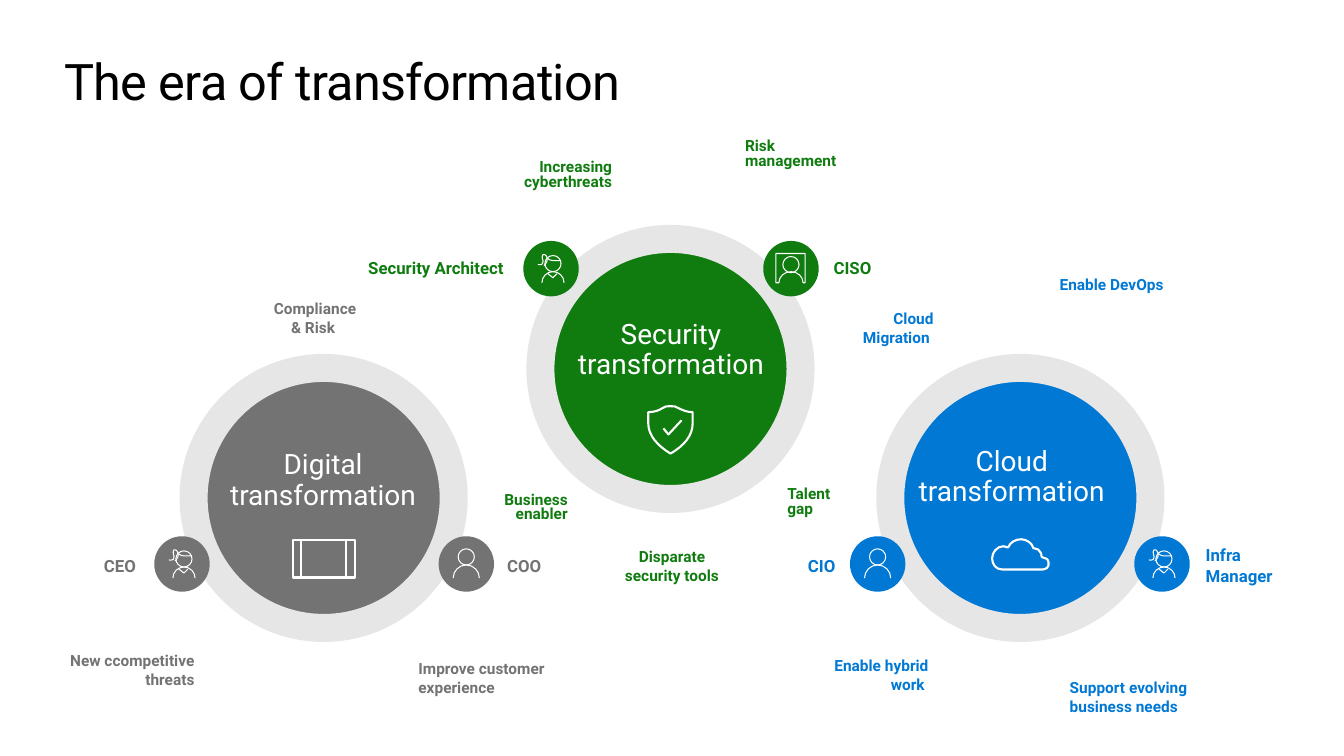
from lxml import etree
from pptx import Presentation
from pptx import util as u
from pptx.dml.color import RGBColor
from pptx.enum import shapes, text
from pptx.oxml import ns

COLORS = {"digital": "737373", "security": "107C10", "cloud": "0078D4",
          "ring": "E6E6E6", "white": "FFFFFF", "black": "000000"}
FONT = "Roboto"
SLIDE = (13.33, 7.5)
TITLE = "The era of transformation"
HUB_SIZE, BADGE_SIZE, CAPTION_WIDTH = 2.58, 0.55, 2.43
LEFT, CENTER, RIGHT = text.PP_ALIGN.LEFT, text.PP_ALIGN.CENTER, text.PP_ALIGN.RIGHT

HUBS = {
    "digital": {"corner": (1.92, 3.65), "badge_top": 5.32,
                "badges": ((1.53, "woman", False), (4.35, "person", True)),
                "caption": ["Digital transformation"],
                "caption_at": (1.99, 4.47, CAPTION_WIDTH, 0.61), "symbols": ["screen"]},
    "security": {"corner": (5.36, 2.37), "badge_top": 2.39,
                 "badges": ((5.19, "woman", True), (7.57, "portrait", False)),
                 "caption": ["Security", "transformation"],
                 "caption_at": (5.44, 3.18, CAPTION_WIDTH, 0.91),
                 "symbols": ["shield", "check"]},
    "cloud": {"corner": (8.83, 3.65), "badge_top": 5.32,
              "badges": ((8.43, "person", True), (11.25, "woman", True)),
              "caption": ["Cloud", "transformation"],
              "caption_at": (8.82, 4.44, CAPTION_WIDTH, 0.94), "symbols": ["cloud"]},
}

ROLES = [
    ("digital", "CEO", (0.93, 5.46, 0.52, 0.3), CENTER, False),
    ("digital", "COO", (4.92, 5.46, 0.56, 0.3), CENTER, False),
    ("security", "Security Architect ", (3.52, 2.51, 1.65, 0.3), CENTER, False),
    ("security", "CISO", (8.1, 2.51, 0.71, 0.3), CENTER, True),
    ("cloud", "CIO", (7.91, 5.46, 0.48, 0.3), CENTER, True),
    ("cloud", "Infra Manager", (11.86, 5.36, 1.12, 0.5), LEFT, True),
]

NOTES = [
    ("digital", "Compliance & Risk ", (2.49, 2.92, 1.27, 0.47), CENTER, None),
    ("digital", "New ccompetitive threats", (0.35, 6.41, 1.78, 0.47), RIGHT, None),
    ("digital", "Improve customer experience", (3.95, 6.49, 1.78, 0.47), LEFT, None),
    ("security", "Increasing cyberthreats", (4.43, 1.54, 1.74, 0.4), RIGHT, 0.8),
    ("security", "Risk management", (7.19, 1.33, 1.36, 0.4), LEFT, 0.8),
    ("security", "Business enabler", (4.38, 4.84, 1.35, 0.4), RIGHT, 0.8),
    ("security", "Talent gap", (7.61, 4.79, 0.83, 0.4), LEFT, 0.8),
    ("security", "Disparate security tools", (5.9, 5.38, 1.43, 0.47), CENTER, None),
    ("cloud", "Cloud Migration ", (8.22, 3.02, 1.24, 0.47), RIGHT, None),
    ("cloud", "Enable DevOps", (10.31, 2.68, 1.57, 0.29), LEFT, None),
    ("cloud", "Enable hybrid work ", (7.74, 6.46, 1.67, 0.47), RIGHT, None),
    ("cloud", "Support evolving business needs", (10.41, 6.68, 1.85, 0.47), LEFT, None),
]


def arch(x, y, rx, ry):
    k = 0.55
    return [((x - rx, y),),
            ((x - rx, y - k * ry), (x - k * rx, y - ry), (x, y - ry)),
            ((x + k * rx, y - ry), (x + rx, y - k * ry), (x + rx, y))]


def circle(x, y, r):
    return arch(x, y, r, r) + arch(x, y, -r, -r)[1:]


def line(*points):
    return [(point,) for point in points]


SYMBOLS = {
    "person": [circle(0, -0.07, 0.08), arch(0, 0.14, 0.13, 0.13)],
    "portrait": [circle(0, -0.04, 0.08),
                 line((0.12, 0.14), (0.14, 0.14), (0.14, -0.15), (-0.15, -0.15),
                      (-0.15, 0.14)) + arch(0, 0.14, 0.12, 0.11)],
    "woman": [
        circle(0.02, -0.05, 0.08),
        arch(0.02, 0.14, 0.11, 0.11),
        line((-0.03, 0.05), (0.02, 0.09), (0.06, 0.05)),
        [((-0.04, -0.11),), ((-0.04, -0.11), (-0.02, -0.08), (0.02, -0.08)),
         ((0.05, -0.08), (0.1, -0.08), (0.1, -0.08))],
        [((-0.07, -0.03),), ((-0.07, -0.03), (-0.05, -0.04), (-0.04, -0.07)),
         ((-0.03, -0.1), (-0.04, -0.11), (-0.04, -0.11))],
        [((-0.04, -0.11),), ((-0.04, -0.11), (-0.05, -0.15), (-0.08, -0.14)),
         ((-0.1, -0.11), (-0.07, -0.08), (-0.08, -0.06)),
         ((-0.08, -0.03), (-0.13, -0.04), (-0.13, -0.04))],
    ],
    "screen": [line((0.31, 0.79), (-0.3, 0.79), (-0.3, 0.42), (0.31, 0.42), (0.31, 0.79)),
               line((-0.22, 0.42), (-0.22, 0.79)), line((0.22, 0.42), (0.22, 0.79))],
    "shield": [[
        ((0.22, 0.54),), ((0.22, 0.66), (0.14, 0.76), (0, 0.84)),
        ((-0.13, 0.76), (-0.22, 0.66), (-0.22, 0.54)), ((-0.22, 0.43),),
        ((-0.16, 0.43), (-0.11, 0.41), (-0.08, 0.39)),
        ((-0.06, 0.37), (-0.03, 0.37), (0, 0.37)),
        ((0.03, 0.37), (0.06, 0.37), (0.08, 0.39)),
        ((0.12, 0.41), (0.17, 0.43), (0.22, 0.43)), ((0.22, 0.54),)]],
    "check": [line((0.11, 0.51), (-0.02, 0.65), (-0.07, 0.59))],
    "cloud": [[
        ((0.01, 0.41),), ((-0.05, 0.41), (-0.1, 0.44), (-0.12, 0.49)), ((-0.13, 0.49),),
        ((-0.14, 0.49), (-0.15, 0.48), (-0.17, 0.48)),
        ((-0.23, 0.48), (-0.28, 0.54), (-0.28, 0.6)),
        ((-0.28, 0.66), (-0.24, 0.71), (-0.18, 0.71)), ((0.22, 0.71),),
        ((0.25, 0.71), (0.29, 0.69), (0.28, 0.64)),
        ((0.28, 0.61), (0.25, 0.59), (0.22, 0.59)), ((0.21, 0.58),),
        ((0.21, 0.57), (0.21, 0.55), (0.2, 0.54)),
        ((0.19, 0.52), (0.17, 0.5), (0.14, 0.5)), ((0.13, 0.5),),
        ((0.12, 0.45), (0.06, 0.41), (0.01, 0.41))]],
}

presentation = Presentation()
presentation.slide_width, presentation.slide_height = map(u.Inches, SLIDE)
slide = presentation.slides.add_slide(presentation.slide_layouts[5])


def color(name):
    return RGBColor.from_string(COLORS[name])


def add_disc(parent, corner, size, fill, ring=None):
    disc = parent.shapes.add_shape(shapes.MSO_SHAPE.OVAL,
                                   *map(u.Inches, (*corner, size, size)))
    disc.shadow.inherit = False
    disc.fill.solid()
    disc.fill.fore_color.rgb = color(fill)
    if ring:
        disc.line.color.rgb = color(ring)
        disc.line.width = u.Pt(20)
    else:
        disc.line.fill.background()


def add_symbol(parent, name, center, width, fill=None):
    contours = [[[tuple(u.Inches(c + p) for c, p in zip(center, point)) for point in segment]
                 for segment in contour] for contour in SYMBOLS[name]]
    builder = parent.shapes.build_freeform(*contours[0][0][-1])
    for index, (first, *rest) in enumerate(contours):
        if index:
            builder.move_to(*first[-1])
        builder.add_line_segments([segment[-1] for segment in rest],
                                  close=first[-1] == rest[-1][-1])
    symbol = builder.convert_to_shape()
    steps = symbol._element.findall(".//" + ns.qn("a:lnTo"))
    segments = [segment for contour in contours for segment in contour[1:]]
    for step, segment in zip(steps, segments):
        if len(segment) == 3:
            bend = etree.Element(ns.qn("a:cubicBezTo"))
            for x, y in segment:
                etree.SubElement(bend, ns.qn("a:pt"), x=str(x - symbol.left),
                                 y=str(y - symbol.top))
            step.getparent().replace(step, bend)
    symbol.shadow.inherit = False
    if fill:
        symbol.fill.solid()
        symbol.fill.fore_color.rgb = color(fill)
    else:
        symbol.fill.background()
    symbol.line.color.rgb = color("white")
    symbol.line.width = u.Pt(width)


def write(shape, lines, size, fill, align, bold=False, spacing=None, wrap=True,
          anchor=text.MSO_ANCHOR.TOP, insets=(0, 0, 0, 0)):
    frame = shape.text_frame
    frame.word_wrap = wrap
    frame.auto_size = text.MSO_AUTO_SIZE.SHAPE_TO_FIT_TEXT
    frame.vertical_anchor = anchor
    frame.margin_left, frame.margin_top, frame.margin_right, frame.margin_bottom = map(
        u.Inches, insets)
    frame.text = "\n".join(lines)
    for paragraph in frame.paragraphs:
        paragraph.alignment = align
        paragraph.line_spacing = spacing
        paragraph.font.name = FONT
        paragraph.font.size = u.Pt(size)
        paragraph.font.bold = bold
        paragraph.font.color.rgb = color(fill)


def add_label(box, *args, **options):
    write(slide.shapes.add_textbox(*map(u.Inches, box)), *args, **options)


title = slide.shapes.title
title.left, title.top, title.width, title.height = map(u.Inches, (0.64, 0.5, 12.05, 0.61))
write(title, [TITLE], 36, "black", LEFT)
title.text_frame.paragraphs[0].runs[0].font._element.set("spc", "-50")

for name, hub in HUBS.items():
    add_disc(slide, hub["corner"], HUB_SIZE, name, "ring")
    add_label(hub["caption_at"], hub["caption"], 20, "white", CENTER, spacing=0.9)
    for symbol_name in hub["symbols"]:
        add_symbol(slide, symbol_name, [c + HUB_SIZE / 2 for c in hub["corner"]], 1.5)
    for left, badge, filled in hub["badges"]:
        group = slide.shapes.add_group_shape()
        corner = (left, hub["badge_top"])
        add_disc(group, corner, BADGE_SIZE, name)
        add_symbol(group, badge, [c + BADGE_SIZE / 2 for c in corner], 0.75,
                   name if filled else None)

for hub, label, box, align, wrap in ROLES:
    add_label(box, [label], 12, hub, align, bold=True, wrap=wrap,
              insets=(0.1, 0.05, 0.1, 0.05))

for hub, label, box, align, spacing in NOTES:
    right = 0.1 if hub == "security" else 0.2
    add_label(box, [label], 11, hub, align, bold=True, spacing=spacing,
              anchor=text.MSO_ANCHOR.MIDDLE, insets=(0.2, 0.05, right, 0.05))

presentation.save("out.pptx")
